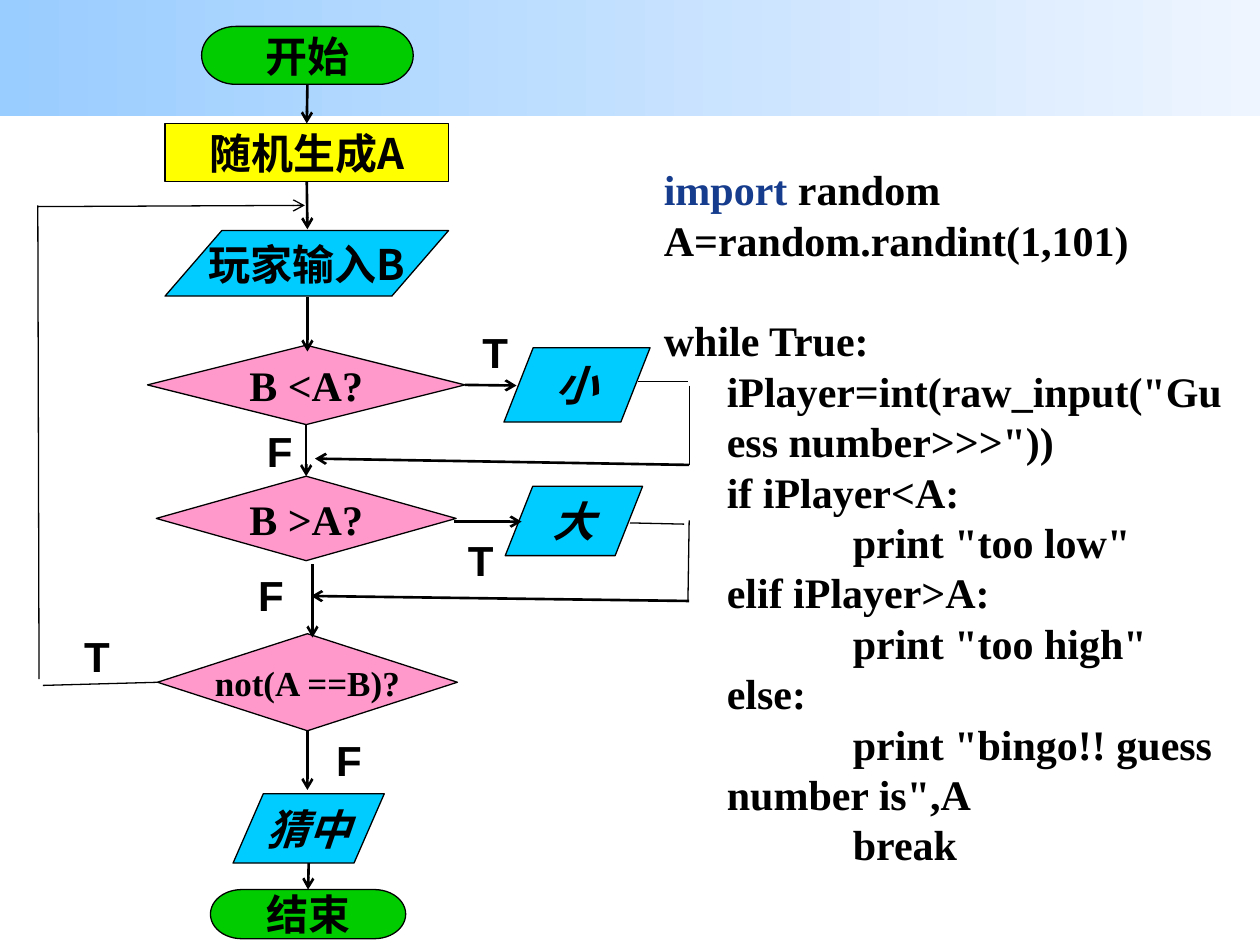
import pptx
import pptx.util
import pptx.dml.color
import pptx.enum.shapes
import pptx.enum.text
from lxml import etree
from pptx.oxml.ns import qn

Inches, Pt = pptx.util.Inches, pptx.util.Pt
KIND = pptx.enum.shapes.MSO_SHAPE
ALIGN = pptx.enum.text.PP_ALIGN
MIDDLE = pptx.enum.text.MSO_ANCHOR.MIDDLE
HAN, SANS, SERIF = "Noto Sans CJK SC", "Arial", "Times New Roman"
TOP, LEFT, BOTTOM, RIGHT = range(4)

COLORS = {
    "black": "000000", "green": "00CC00", "yellow": "FFFF00",
    "cyan": "00CCFF", "pink": "FF99CC", "keyword": "153C8D",
    "sky": "99CCFF", "pale": "EEF5FF",
}

# name: preset, fill, (left, top, width, height), text, font, size, italic
STEPS = {
    "start": (KIND.FLOWCHART_TERMINATOR, "green", (1.6, 0.21, 1.68, 0.46), "开始", HAN, 24, False),
    "pick": (KIND.RECTANGLE, "yellow", (1.31, 0.98, 2.25, 0.46), "随机生成A", HAN, 24, False),
    "input": (KIND.FLOWCHART_DATA, "cyan", (1.31, 1.83, 2.25, 0.52), "玩家输入B", HAN, 24, False),
    "less": (KIND.FLOWCHART_DECISION, "pink", (1.17, 2.74, 2.52, 0.63), "B <A?", SERIF, 24, False),
    "more": (KIND.FLOWCHART_DECISION, "pink", (1.24, 3.78, 2.38, 0.67), "B >A?", SERIF, 24, False),
    "differ": (KIND.FLOWCHART_DECISION, "pink", (1.25, 5.03, 2.38, 0.77), "not(A ==B)?", SERIF, 20, False),
    "small": (KIND.FLOWCHART_DATA, "cyan", (4, 2.76, 1.16, 0.59), "小", HAN, 24, True),
    "big": (KIND.FLOWCHART_DATA, "cyan", (4.01, 3.86, 1.09, 0.55), "大", HAN, 24, True),
    "win": (KIND.FLOWCHART_DATA, "cyan", (1.85, 6.3, 1.2, 0.55), "猜中", HAN, 24, True),
    "end": (KIND.FLOWCHART_TERMINATOR, "green", (1.67, 7.06, 1.55, 0.39), "结束", HAN, 24, False),
}

LABELS = [
    ("T", (3.55, 2.48, 0.76, 0.55)), ("F", (1.84, 3.27, 0.76, 0.55)),
    ("T", (3.5, 4.13, 0.63, 0.55)), ("F", (1.86, 4.35, 0.58, 0.67)),
    ("T", (0.39, 4.94, 0.76, 0.46)), ("F", (2.48, 5.75, 0.58, 0.49)),
]

# from, to, width, arrowhead, joined start, joined end
LINES = [
    ((2.44, 0.67), (2.44, 0.98), 1.5, True, ("start", BOTTOM), ("pick", TOP)),
    ((2.44, 1.44), (2.44, 1.82), 1.5, True, ("pick", BOTTOM), None),
    ((2.44, 2.36), (2.44, 2.79), 1.5, True, None, None),
    ((2.43, 3.38), (2.43, 3.8), 1.5, True, ("less", BOTTOM), ("more", TOP)),
    ((2.48, 4.48), (2.48, 5.06), 1.5, True, None, None),
    ((2.44, 5.79), (2.44, 6.27), 1.5, True, ("differ", BOTTOM), None),
    ((2.45, 6.85), (2.44, 7.06), 1.5, True, None, ("end", TOP)),
    # "too small" branch
    ((3.69, 3.06), (4.1, 3.06), 1.5, True, ("less", RIGHT), None),
    ((5.46, 3.03), (5.06, 3.03), 0.75, False, None, None),
    ((5.47, 3.06), (5.47, 3.69), 0.75, False, None, None),
    ((5.47, 3.69), (2.5, 3.64), 1.5, True, None, None),
    # "too big" branch
    ((3.6, 4.14), (4.14, 4.14), 1.5, True, None, None),
    ((5.43, 4.16), (5, 4.15), 0.75, False, None, None),
    ((5.47, 4.13), (5.46, 4.77), 0.75, False, None, None),
    ((5.47, 4.77), (2.47, 4.73), 1.5, True, None, None),
    # loop back
    ((1.25, 5.42), (0.34, 5.44), 0.75, False, ("differ", LEFT), None),
    ((0.31, 5.39), (0.3, 1.63), 0.75, False, None, None),
    ((0.3, 1.64), (2.42, 1.63), 0.75, True, None, None),
]

# depth, runs as (text, colour)
CODE = [
    (0, [("import", "keyword"), (" random", "black")]),
    (0, [("A=random.randint(1,101)", "black")]),
    (0, [("while True:", "black")]),
    (1, [('iPlayer=int(raw_input("Guess number>>>"))', "black")]),
    (1, [("if iPlayer<A:", "black")]),
    (2, [('print "too low"', "black")]),
    (1, [("elif iPlayer>A:", "black")]),
    (2, [('print "too high"', "black")]),
    (1, [("else:", "black")]),
    (2, [('print "bingo!! guess number is",A', "black")]),
    (2, [("break", "black")]),
]


def rgb(name):
    return pptx.dml.color.RGBColor.from_string(COLORS[name])


def place(box):
    return [Inches(n) for n in box]


def style(para, face, size, slant=False):
    font = para.font
    font.name, font.size = face, Pt(size)
    font.bold, font.italic = True, slant
    font.color.rgb = rgb("black")
    props = para._p.pPr.find(qn("a:defRPr"))
    etree.SubElement(props, qn("a:ea")).set("typeface", face)


def write(shape, text, face, size, slant=False):
    """Put one centred line of text in a shape."""
    frame = shape.text_frame
    frame.vertical_anchor = MIDDLE
    para = frame.paragraphs[0]
    para.text = text
    para.alignment = ALIGN.CENTER
    style(para, face, size, slant)
    return frame


def band(slide):
    bar = slide.shapes.add_shape(KIND.RECTANGLE, *place((0, 0, 10, 0.92)))
    bar.shadow.inherit = False
    bar.line.fill.background()
    bar.fill.gradient()
    bar.fill.gradient_angle = 0
    for stop, name in zip(bar.fill.gradient_stops, ("sky", "pale")):
        stop.color.rgb = rgb(name)


def step(slide, kind, fill, box, text, face, size, slant):
    shape = slide.shapes.add_shape(kind, *place(box))
    shape.shadow.inherit = False
    shape.fill.solid()
    shape.fill.fore_color.rgb = rgb(fill)
    shape.line.color.rgb = rgb("black")
    shape.line.width = Pt(0.75)
    write(shape, text, face, size, slant).word_wrap = False
    return shape


def label(slide, text, box):
    frame = write(slide.shapes.add_textbox(*place(box)), text, SANS, 24)
    frame.word_wrap = True
    frame.margin_left = frame.margin_right = Inches(0.02)
    frame.margin_top, frame.margin_bottom = Inches(0.08), Inches(0.01)


def link(slide, steps, start, stop, width, arrow, source, target):
    line = slide.shapes.add_connector(
        pptx.enum.shapes.MSO_CONNECTOR.STRAIGHT, *place(start + stop))
    if source:
        line.begin_connect(steps[source[0]], source[1])
    if target:
        line.end_connect(steps[target[0]], target[1])
    line.line.color.rgb = rgb("black")
    line.line.width = Pt(width)
    if arrow:
        etree.SubElement(line.line._get_or_add_ln(), qn("a:tailEnd")).set("type", "arrow")
    etree.SubElement(line._element.spPr, qn("a:effectLst"))


def code(slide):
    frame = slide.shapes.add_textbox(*place((5.17, 1.25, 4.72, 5.76))).text_frame
    frame.word_wrap = True
    for i, (depth, runs) in enumerate(CODE):
        para = frame.paragraphs[0] if i == 0 else frame.add_paragraph()
        para.line_spacing = Pt(28.8)
        if runs[0][0].startswith("while"):
            para.space_before = Pt(28.8)
        if depth:
            props = para._p.get_or_add_pPr()
            props.set("marL", str(Inches(0.5)))
            props.set("indent", str(Inches(depth - 1)))
        style(para, SERIF, 24)
        for text, color in runs:
            run = para.add_run()
            run.text = text
            if color != "black":
                run.font.color.rgb = rgb(color)


def main():
    deck = pptx.Presentation()
    deck.slide_width, deck.slide_height = Inches(10), Inches(7.5)
    slide = deck.slides.add_slide(deck.slide_layouts[6])
    band(slide)
    steps = {name: step(slide, *item) for name, item in STEPS.items()}
    for item in LABELS:
        label(slide, *item)
    for item in LINES:
        link(slide, steps, *item)
    code(slide)
    deck.save("out.pptx")


if __name__ == "__main__":
    main()
